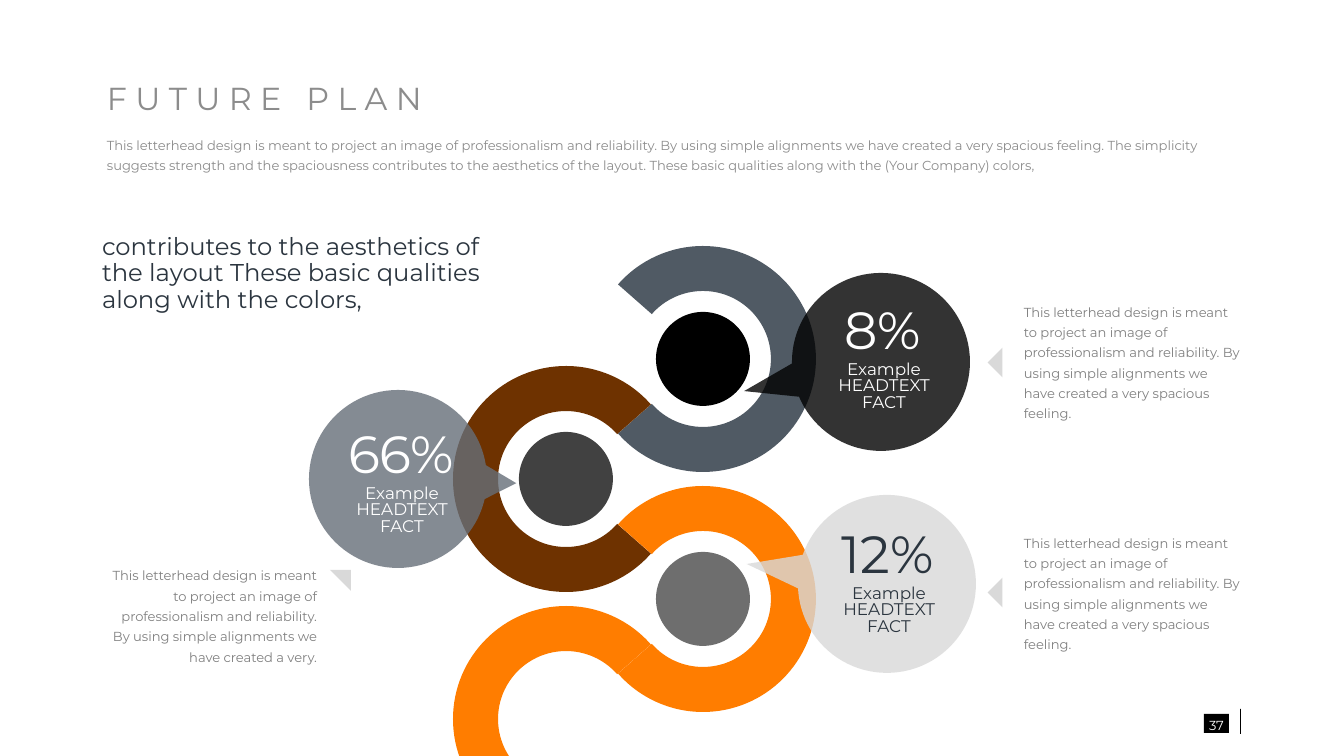
from math import cos, radians, sin, tan

from lxml.etree import SubElement
from pptx import Presentation
from pptx.dml.color import RGBColor
from pptx.enum.shapes import MSO_SHAPE as SHAPE
from pptx.enum.text import MSO_ANCHOR as ANCHOR, MSO_AUTO_SIZE as AUTO_SIZE, PP_ALIGN as ALIGN
from pptx.oxml.ns import qn
from pptx.util import Pt

PX = 914400 / 134.4  # EMU in one px
FONT = "Montserrat"
GREY, NOTE_GREY, SILVER, NAVY = "8C8C8C", "808080", "D9D9D9", "2B353F"
BLACK, WHITE = "000000", "FFFFFF"


def emu(*lengths):
    """Turn px into EMU."""
    return [round(length * PX) for length in lengths]


def paint(target, colour, opacity=100):
    """Give a shape or a font a solid colour."""
    target.fill.solid()
    target.fill.fore_color.rgb = RGBColor.from_string(colour)
    if opacity < 100:
        srgb = target.fill._xPr.find(".//" + qn("a:srgbClr"))
        SubElement(srgb, qn("a:alpha"), val=str(opacity * 1000))


def write(text, box, size=7, colour=GREY, align=ALIGN.LEFT, spacing=1.3, holder=None):
    """Write one paragraph per line of text, in holder or in a new text box."""
    holder = holder or slide.shapes.add_textbox(0, 0, 0, 0)
    holder.left, holder.top, holder.width, holder.height = emu(*box)
    frame = holder.text_frame
    frame.word_wrap, frame.auto_size = True, AUTO_SIZE.NONE
    frame.vertical_anchor = ANCHOR.MIDDLE
    frame.margin_left = frame.margin_top = frame.margin_right = frame.margin_bottom = 0
    frame.text = text
    for paragraph in frame.paragraphs:
        paragraph.alignment, paragraph.line_spacing = align, spacing
        for run in paragraph.runs:
            run.font.name, run.font.size = FONT, Pt(size)
            paint(run.font, colour)


deck = Presentation()
deck.slide_width, deck.slide_height = emu(1344, 756)
slide = deck.slides.add_slide(deck.slide_layouts[5])
shapes = slide.shapes

write("F U T U R E   P L A N", (107, 80, 593, 44), size=17, spacing=0.7, holder=shapes.title)
write("This letterhead design is meant to project an image of professionalism and reliability. "
      "By using simple alignments we have created a very spacious feeling. The simplicity "
      "suggests strength and the spaciousness contributes to the aesthetics of the layout. "
      "These basic qualities along with the (Your Company) colors,", (107, 132, 1117, 42))

# Winding ribbon: open rings that face left and right in turn
OUTER, INNER, OPENING = 113, 68, 41.3
RIGHT_X, LEFT_X, FIRST_Y, ROW = 703, 566, 359, 120
stops = [OPENING - 180, -90, 0, 90, 180 - OPENING]
edge = [(OUTER, angle) for angle in stops] + [(INNER, angle) for angle in reversed(stops)]
points = [emu(radius * cos(radians(angle)), radius * sin(radians(angle)))
          for radius, angle in edge]
for row, colour in enumerate(["505A64", "6E3200", "FF7D00", "FF7D00"]):
    builder = shapes.build_freeform(*points[0])
    builder.add_line_segments(points[1:], close=True)
    ribbon = builder.convert_to_shape()
    origin_x, origin_y = ribbon.left, ribbon.top
    lines = list(ribbon._element.iter(qn("a:lnTo")))
    for line, (radius, start), (end_radius, end) in zip(lines, edge, edge[1:]):
        if radius != end_radius:
            continue
        reach = 4 / 3 * tan(radians(end - start) / 4)
        curve = line.makeelement(qn("a:cubicBezTo"))
        for angle, pull in [(start, reach), (end, -reach), (end, 0)]:
            turn = radians(angle)
            x, y = emu(radius * (cos(turn) - pull * sin(turn)),
                       radius * (sin(turn) + pull * cos(turn)))
            SubElement(curve, qn("a:pt"), x=str(x - origin_x), y=str(y - origin_y))
        line.getparent().replace(line, curve)
    ribbon.top = emu(FIRST_Y + row * ROW - OUTER)[0]
    if row % 2:
        ribbon.rotation = 180
        ribbon.left = emu(LEFT_X - OUTER)[0]
    else:
        ribbon.left = emu(RIGHT_X + OUTER)[0] - ribbon.width
    paint(ribbon, colour)

DOT = 94
for row, colour in [(2, "6E6E6E"), (1, "414141"), (0, BLACK)]:
    centre_x = LEFT_X if row % 2 else RIGHT_X
    dot = shapes.add_shape(SHAPE.OVAL, *emu(centre_x - DOT / 2, FIRST_Y + row * ROW - DOT / 2,
                                            DOT, DOT))
    paint(dot, colour)

# Facts: left, top, tip, fill, text left, text top, text colour, value
BUBBLE = 178
facts = [
    (792, 273, (-0.769, 0.164), BLACK, 829, 294, WHITE, "8%"),
    (798, 495, (-0.788, -0.112), SILVER, 834, 518, NAVY, "12%"),
    (309, 390, (0.665, 0.024), "666E78", 347, 418, WHITE, "66%"),
]
for left, top, tip, fill, text_left, text_top, colour, value in facts:
    bubble = shapes.add_shape(SHAPE.OVAL_CALLOUT, *emu(left, top, BUBBLE, BUBBLE))
    bubble.adjustments[0], bubble.adjustments[1] = tip
    paint(bubble, fill, opacity=80)
    write("Example\nHEADTEXT FACT", (text_left, text_top + 60, 110, 66), size=9,
          colour=colour, align=ALIGN.CENTER, spacing=0.8)
    write(value, (text_left - 11, text_top, 130, 70), size=28, colour=colour,
          align=ALIGN.CENTER, spacing=1.0)

# Notes: box, alignment, ending, marker corner, marker rotation
opening_words = ("This letterhead design is meant to project an image of professionalism and "
                 "reliability. By using simple alignments we have created a very")
notes = [
    ((1024, 300, 216, 121), ALIGN.LEFT, " spacious feeling.", (992, 352), 45),
    ((1024, 531, 216, 121), ALIGN.LEFT, " spacious feeling.", (992, 582), 45),
    ((106, 563, 211, 102), ALIGN.RIGHT, ".", (330, 570), 180),
]
for box, align, ending, corner, rotation in notes:
    write(opening_words + ending, box, colour=NOTE_GREY, align=align)
    marker = shapes.add_shape(SHAPE.RIGHT_TRIANGLE, *emu(*corner, 21, 21))
    marker.rotation = rotation
    paint(marker, SILVER)

write("contributes to the aesthetics of the layout These basic qualities along with the colors,",
      (102, 229, 415, 90), size=13, colour=NAVY, spacing=0.9)

# Page number
for box in [(1204, 714, 25, 19), (1240, 709, 1, 25)]:
    paint(shapes.add_shape(SHAPE.RECTANGLE, *emu(*box)), BLACK)
write("37", (1201, 712, 31, 22), colour=WHITE, align=ALIGN.CENTER)

for shape in shapes:
    if not shape.text_frame.text:
        shape.shadow.inherit = False
        shape.line.fill.background()

deck.save("out.pptx")
